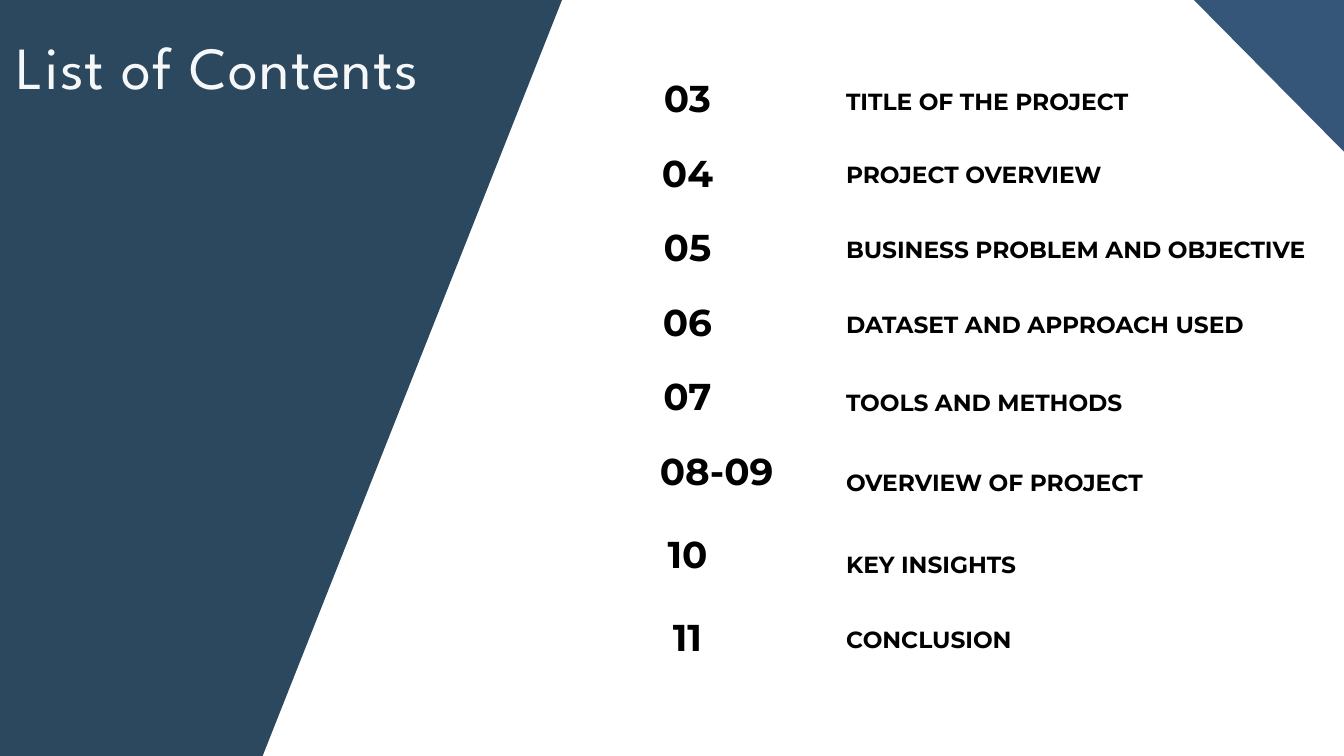
import pptx
import pptx.dml.color
import pptx.enum.text
import pptx.util

Inches = pptx.util.Inches
Pt = pptx.util.Pt
Align = pptx.enum.text.PP_ALIGN

COLORS = {"panel": "2B485F", "corner": "365679", "title": "F6F7F8", "text": "000000"}
PANEL = [(3.16, 13.14), (-5.91, 13.14), (-0.52, -0.47), (8.55, -0.47)]
CORNER = [(20.2, 2.46), (17.4, -0.37), (21.22, -1.39)]

# page, top of page number, heading, top and width of heading
CONTENTS = [
    ("03", 1.12, "TITLE OF THE PROJECT", 1.29, 4.62),
    ("04", 2.23, "PROJECT OVERVIEW", 2.39, 7.08),
    ("05", 3.34, "BUSINESS PROBLEM AND OBJECTIVE", 3.5, 7.08),
    ("06", 4.45, "DATASET AND APPROACH USED", 4.61, 6.28),
    ("07", 5.55, "TOOLS AND METHODS", 5.78, 5.98),
    ("08-09", 6.67, "OVERVIEW OF PROJECT", 6.96, 4.62),
    ("10", 7.9, "KEY INSIGHTS", 8.19, 4.62),
    ("11", 9.14, "CONCLUSION", 9.3, 4.62),
]


class ContentsSlide:
    heading_font = "League Spartan"
    body_font = "Montserrat"

    def __init__(self, slide):
        self.slide = slide

    def color(self, name):
        return pptx.dml.color.RGBColor.from_string(COLORS[name])

    def polygon(self, points, color):
        corners = [(Inches(x), Inches(y)) for x, y in points]
        builder = self.slide.shapes.build_freeform(*corners[0])
        builder.add_line_segments(corners[1:], close=True)
        shape = builder.convert_to_shape()
        shape.shadow.inherit = False
        shape.fill.solid()
        shape.fill.fore_color.rgb = self.color(color)
        shape.line.fill.background()

    def set_text(self, shape, text, size, spacing, font, color, bold, align):
        """Fill a shape with one paragraph, without margins."""
        frame = shape.text_frame
        frame.word_wrap = True
        frame.auto_size = pptx.enum.text.MSO_AUTO_SIZE.SHAPE_TO_FIT_TEXT
        frame.vertical_anchor = pptx.enum.text.MSO_ANCHOR.TOP
        frame.margin_left = frame.margin_right = 0
        frame.margin_top = frame.margin_bottom = 0
        paragraph = frame.paragraphs[0]
        paragraph.text = text
        paragraph.alignment = align
        paragraph.line_spacing = Pt(spacing)
        paragraph.font.size = Pt(size)
        paragraph.font.name = font
        paragraph.font.bold = bold
        paragraph.font.color.rgb = self.color(color)
        return paragraph

    def title(self, text, left, top, width, height):
        shape = self.slide.shapes.title
        shape.left, shape.top = Inches(left), Inches(top)
        shape.width, shape.height = Inches(width), Inches(height)
        paragraph = self.set_text(shape, text, 64, 83.3, self.heading_font,
                                  "title", False, Align.LEFT)
        # Letter spacing in hundredths of a point
        paragraph.runs[0]._r.get_or_add_rPr().set("spc", "150")

    def label(self, text, left, top, width, height, size, align=Align.LEFT):
        box = self.slide.shapes.add_textbox(
            Inches(left), Inches(top), Inches(width), Inches(height))
        self.set_text(box, text, size, 1.2 * size, self.body_font, "text", True, align)

    def page_number(self, text, top):
        left, width = (9.65, 2.03) if "-" in text else (9.47, 1.52)
        self.label(text, left, top, width, 0.66, 40, Align.CENTER)


def main():
    presentation = pptx.Presentation()
    presentation.slide_width = Inches(20)
    presentation.slide_height = Inches(11.25)
    slide = presentation.slides.add_slide(presentation.slide_layouts.get_by_name("Title Only"))
    contents = ContentsSlide(slide)
    contents.polygon(PANEL, "panel")
    contents.polygon(CORNER, "corner")
    contents.title("List of Contents", 0.25, 0.35, 7.58, 1.14)
    # Bring the title in front of the panel
    slide.shapes._spTree.append(slide.shapes.title._element)
    for page, page_top, heading, heading_top, width in CONTENTS:
        contents.page_number(page, page_top)
        contents.label(heading, 12.59, heading_top, width, 0.41, 25)
    presentation.save("out.pptx")


if __name__ == "__main__":
    main()
